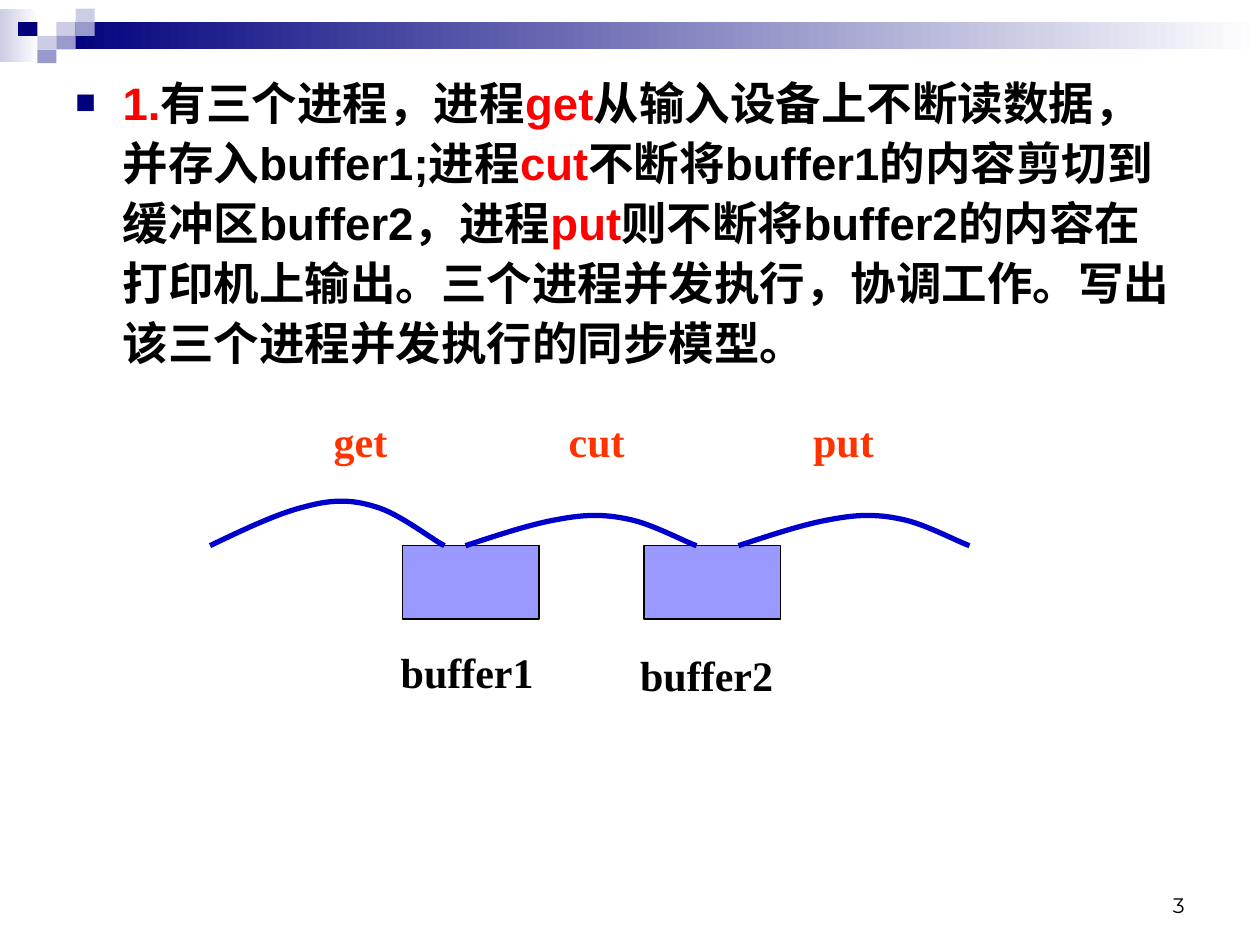
"""Build a slide on three cooperating processes linked by two buffers."""
import pptx
import pptx.util
import pptx.dml.color
import pptx.enum.shapes
import pptx.enum.text
import pptx.oxml
import pptx.oxml.ns

Pt = pptx.util.Pt
qn = pptx.oxml.ns.qn
ALIGN = pptx.enum.text.PP_ALIGN
ANCHOR = pptx.enum.text.MSO_ANCHOR
COLORS = {
    "navy": "00007D", "pale": "CCCCE6", "mid": "9999CC", "white": "FFFFFF",
    "black": "000000", "red": "FF0000", "orange": "FF3300",
    "buffer": "9999FF", "curve": "0000CC",
}
CELL_W, CELL_H = 10.95, 7.8
BASE_Y = 311.8
ARC = [(0.145, 0.35), (0.29, 0.7), (0.405, 0.84), (0.52, 1), (0.605, 1),
       (0.705, 0.84), (0.805, 0.7), (0.945, 0.14), (1, 0)]


def rgb(name):
    return pptx.dml.color.RGBColor.from_string(COLORS[name])


def add_rect(slide, x, y, w, h, fill, line=None):
    sp = slide.shapes.add_shape(pptx.enum.shapes.MSO_SHAPE.RECTANGLE, Pt(x), Pt(y), Pt(w), Pt(h))
    sp.shadow.inherit = False
    sp.fill.solid()
    sp.fill.fore_color.rgb = rgb(fill)
    if line:
        sp.line.color.rgb = rgb(line)
        sp.line.width = Pt(0.75)
    else:
        sp.line.fill.background()
    return sp


def add_fade(slide, x, y, w, h, start):
    sp = add_rect(slide, x, y, w, h, start)
    sp.fill.gradient()
    sp.fill.gradient_angle = 0
    for stop, color, position in zip(sp.fill.gradient_stops, (start, "white"), (0, 1)):
        stop.color.rgb = rgb(color)
        stop.position = position


def format_run(r, size, font, color, bold):
    r.font.size = Pt(size)
    r.font.name = font
    r.font.bold = bold
    r.font.color.rgb = rgb(color)


def add_label(slide, text, x, y, w, color="black", size=24, font="Times New Roman",
              bold=True, align=ALIGN.CENTER, anchor=ANCHOR.TOP):
    tf = slide.shapes.add_textbox(Pt(x), Pt(y), Pt(w), Pt(36)).text_frame
    tf.word_wrap = True
    tf.vertical_anchor = anchor
    tf.text = text
    p = tf.paragraphs[0]
    p.alignment = align
    format_run(p.runs[0], size, font, color, bold)


def add_bullet_text(slide, parts):
    tf = slide.shapes.add_textbox(Pt(36), Pt(36), Pt(648), Pt(498)).text_frame
    tf.word_wrap = True
    p = tf.paragraphs[0]
    p.line_spacing = 1.1
    pPr = p._p.get_or_add_pPr()
    pPr.set("marL", str(Pt(27)))
    pPr.set("indent", str(-Pt(27)))
    ns = pptx.oxml.ns.nsdecls("a")
    for xml in (f'<a:buClr {ns}><a:srgbClr val="{COLORS["navy"]}"/></a:buClr>',
                f'<a:buSzPct {ns} val="75000"/>',
                f'<a:buFont {ns} typeface="Arial"/>',
                f'<a:buChar {ns} char="■"/>'):
        pPr.append(pptx.oxml.parse_xml(xml))
    for text, color in parts:
        r = p.add_run()
        r.text = text
        format_run(r, 26, "Arial", color, True)


def add_arc(slide, x, w, h):
    builder = slide.shapes.build_freeform(Pt(x), Pt(BASE_Y))
    builder.add_line_segments([(Pt(x + w * u), Pt(BASE_Y - h * v)) for u, v in ARC], close=False)
    sp = builder.convert_to_shape()
    sp.shadow.inherit = False
    sp.fill.background()
    sp.line.color.rgb = rgb("curve")
    sp.line.width = Pt(3)
    segments = list(sp._element.iter(qn("a:lnTo")))
    for i in range(0, len(segments), 3):
        curve = pptx.oxml.parse_xml(f'<a:cubicBezTo {pptx.oxml.ns.nsdecls("a")}/>')
        segments[i].addprevious(curve)
        for segment in segments[i:i + 3]:
            curve.append(segment[0])
            segment.getparent().remove(segment)


def add_header(slide):
    add_fade(slide, 0, 5, 22.3, 30.3, "pale")
    add_fade(slide, 32.4, 12.7, 687.6, 15.5, "navy")
    for col, row, color in ((2, 1, "pale"), (3, 0, "pale"), (3, 1, "mid"), (1, 2, "pale"),
                            (0, 1, "navy"), (2, 2, "mid"), (1, 3, "mid")):
        add_rect(slide, 10.4 + col * CELL_W, 4.9 + row * CELL_H, CELL_W, CELL_H, color)


def main():
    prs = pptx.Presentation()
    prs.slide_width, prs.slide_height = Pt(720), Pt(540)
    slide = prs.slides.add_slide(prs.slide_layouts[6])
    add_header(slide)
    add_label(slide, "3", 516, 492, 168, size=12, font="Montserrat", bold=False,
              align=ALIGN.RIGHT, anchor=ANCHOR.BOTTOM)
    add_bullet_text(slide, [
        ("1.", "red"), ("有三个进程，进程", "black"), ("get", "red"),
        ("从输入设备上不断读数据，并存入buffer1;进程", "black"), ("cut", "red"),
        ("不断将buffer1的内容剪切到缓冲区buffer2，进程", "black"), ("put", "red"),
        ("则不断将buffer2的内容在打印机上输出。三个进程并发执行，协调工作。"
         "写出该三个进程并发执行的同步模型。", "black"),
    ])
    for x in (230, 368):
        add_rect(slide, x, BASE_Y, 78, 42, "buffer", "black")
    for x, w, h in ((120, 134, 26.5), (266, 132, 18), (422, 132, 18)):
        add_arc(slide, x, w, h)
    for text, x, w in (("get", 170, 72), ("cut", 296, 90), ("put", 446, 72)):
        add_label(slide, text, x, 234, w, "orange")
    for text, x, y in (("buffer1", 217, 366), ("buffer2", 353.8, 367.5)):
        add_label(slide, text, x, y, 100)
    prs.save("out.pptx")


if __name__ == "__main__":
    main()
